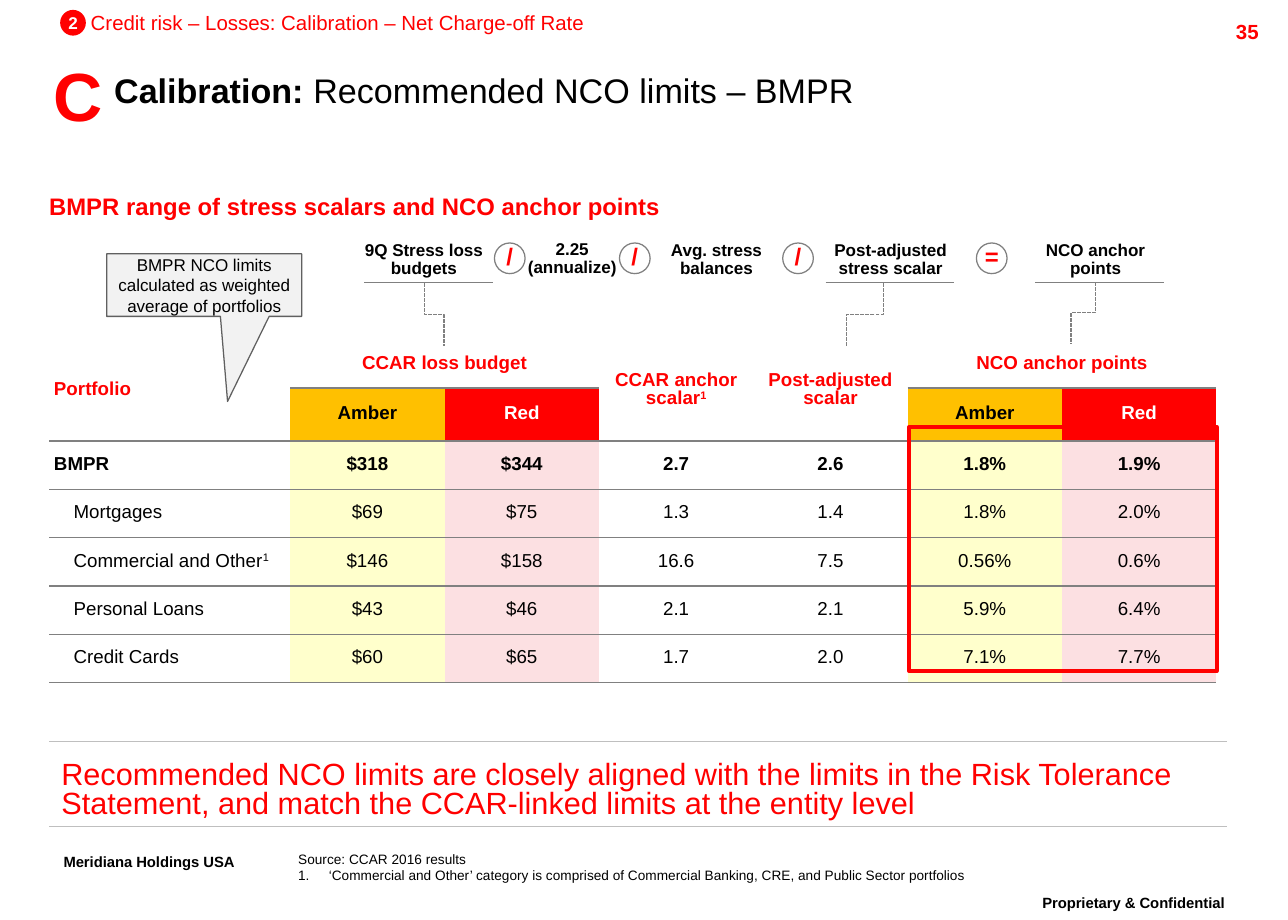
from dataclasses import dataclass
from typing import NamedTuple, Optional, Sequence

from lxml import etree
from pptx import Presentation
from pptx.dml.color import RGBColor
from pptx.enum import dml, shapes, text
from pptx.oxml import ns
from pptx.util import Pt

LEFT, CENTER, RIGHT = text.PP_ALIGN.LEFT, text.PP_ALIGN.CENTER, text.PP_ALIGN.RIGHT
MIDDLE, BOTTOM = text.MSO_ANCHOR.MIDDLE, text.MSO_ANCHOR.BOTTOM


@dataclass(frozen=True)
class Theme:
    font: str = "Arial"
    red: str = "FF0000"
    black: str = "000000"
    white: str = "FFFFFF"
    grey: str = "808080"
    light_grey: str = "BFBFBF"
    amber: str = "FFC000"
    pale_amber: str = "FFFFCC"
    pale_red: str = "FCE0E2"
    callout_fill: str = "F2F2F2"
    callout_line: str = "606060"
    note: float = 8
    label: float = 10
    body: float = 11
    small_heading: float = 12
    heading: float = 14
    footer: float = 15
    banner: float = 18
    title: float = 20
    letter: float = 40


THEME = Theme()


class Box(NamedTuple):
    left: float
    top: float
    width: float
    height: float


class Run(NamedTuple):
    text: str
    bold: bool = False
    raised: bool = False


@dataclass(frozen=True)
class Style:
    size: float
    color: str = THEME.black
    align: text.PP_ALIGN = LEFT
    spacing: Optional[float] = 0.86
    anchor: text.MSO_ANCHOR = text.MSO_ANCHOR.TOP
    margins: Sequence[float] = (7.2, 3.6, 7.2, 3.6)
    wrap: bool = True


@dataclass(frozen=True)
class Label:
    box: Box
    lines: Sequence[Sequence[Run]]
    style: Style


@dataclass(frozen=True)
class Term:
    box: Box
    lines: Sequence[str]
    underline: Optional[float] = None
    link: Optional[Box] = None


@dataclass(frozen=True)
class Operator:
    left: float
    symbol: str


NONE = (0, 0, 0, 0)
PAD = (2.9, 2.2, 2.9, 2.2)
INDENT = (14.4, 0, 0, 0)
UNDERLINE_TOP, UNDERLINE_WIDTH = 165.6, 75.6
FOOTER = Style(THEME.footer, align=CENTER, wrap=False)
TERM = Style(THEME.label, align=CENTER)
SYMBOL = Style(THEME.heading, THEME.red, CENTER, anchor=MIDDLE, margins=NONE, wrap=False)

LABELS = [
    Label(Box(586.8, 522, 157, 25.2), [[Run("Proprietary & Confidential", True, True)]], FOOTER),
    Label(Box(18.7, 497.5, 137.5, 25.2), [[Run("Meridiana Holdings USA", True, True)]], FOOTER),
    Label(Box(673.9, 7.9, 72, 17.3), [[Run("35", True)]],
          Style(THEME.small_heading, THEME.red, RIGHT, None)),
    Label(Box(28.8, 115.2, 444, 14.4), [[Run("BMPR range of stress scalars and NCO anchor points", True)]],
          Style(THEME.heading, THEME.red, margins=NONE)),
    Label(Box(23.8, 28.1, 43.9, 55.4), [[Run("C", True)]],
          Style(THEME.letter, THEME.red, CENTER, None, wrap=False)),
    Label(Box(53.3, 5.8, 330, 14.4), [[Run("Credit risk – Losses: Calibration – Net Charge-off Rate")]],
          Style(THEME.small_heading, THEME.red, spacing=None, margins=NONE)),
]
TERMS = [
    Term(Box(197.3, 139, 103, 28), ["9Q Stress loss budgets"], 213.8, Box(249.1, 166.3, 11.5, 36.7)),
    Term(Box(300.2, 138.2, 71.3, 28), ["2.25", "(annualize)"]),
    Term(Box(374.4, 139, 92.2, 28), ["Avg. stress balances"]),
    Term(Box(476.6, 139, 92.2, 28), ["Post-adjusted stress scalar"], 484.6, Box(518.4, 166.3, -21.6, 36.7)),
    Term(Box(596.9, 139, 92.2, 28), ["NCO anchor points"], 607.7, Box(643, 165.6, -14.4, 36)),
]
OPERATORS = [Operator(290.2, "/"), Operator(363.6, "/"), Operator(459.4, "/"), Operator(573.1, "=")]
PORTFOLIOS = [
    ["BMPR", "$318", "$344", "2.7", "2.6", "1.8%", "1.9%"],
    ["Mortgages", "$69", "$75", "1.3", "1.4", "1.8%", "2.0%"],
    ["Commercial and Other", "$146", "$158", "16.6", "7.5", "0.56%", "0.6%"],
    ["Personal Loans", "$43", "$46", "2.1", "2.1", "5.9%", "6.4%"],
    ["Credit Cards", "$60", "$65", "1.7", "2.0", "7.1%", "7.7%"],
]
GROUP_HEADINGS = {0: "Portfolio", 1: "CCAR loss budget", 3: "CCAR anchor scalar",
                  4: "Post-adjusted scalar", 5: "NCO anchor points"}
NOTED = ("CCAR anchor scalar", "Commercial and Other")
LIMITS = {1: ("Amber", THEME.amber, THEME.black), 2: ("Red", THEME.red, THEME.white),
          5: ("Amber", THEME.amber, THEME.black), 6: ("Red", THEME.red, THEME.white)}
COLUMN_FILLS = [THEME.white, THEME.pale_amber, THEME.pale_red, THEME.white, THEME.white,
                THEME.pale_amber, THEME.pale_red]


def points(values: Sequence[float]) -> list:
    return [Pt(value) for value in values]


def write(frame, lines: Sequence[Sequence[Run]], style: Style) -> None:
    frame.word_wrap = style.wrap
    frame.vertical_anchor = style.anchor
    frame.margin_left, frame.margin_top, frame.margin_right, frame.margin_bottom = points(style.margins)
    for index, line in enumerate(lines):
        paragraph = frame.paragraphs[0] if index == 0 else frame.add_paragraph()
        paragraph.alignment = style.align
        paragraph.space_before = Pt(0)
        if style.spacing:
            paragraph.line_spacing = style.spacing
        for part in line:
            run = paragraph.add_run()
            run.text = part.text
            run.font.name, run.font.size, run.font.bold = THEME.font, Pt(style.size), part.bold
            run.font.color.rgb = RGBColor.from_string(style.color)
            if part.raised:
                run.font._element.set("baseline", "30000")


def add_label(slide, label: Label):
    shape = slide.shapes.add_textbox(*points(label.box))
    write(shape.text_frame, label.lines, label.style)
    return shape


def add_figure(slide, kind, box: Box, fill: Optional[str], line: Optional[str], weight: float = 0.75):
    shape = slide.shapes.add_shape(kind, *points(box))
    shape.shadow.inherit = False
    for format_, color in ((shape.fill, fill), (shape.line.fill, line)):
        if color:
            format_.solid()
            format_.fore_color.rgb = RGBColor.from_string(color)
        else:
            format_.background()
    if line:
        shape.line.width = Pt(weight)
    return shape


def add_line(slide, kind, start: Sequence[float], end: Sequence[float]):
    connector = slide.shapes.add_connector(kind, *points([*start, *end]))
    connector.line.color.rgb = RGBColor.from_string(THEME.grey)
    connector.line.width = Pt(0.75)
    etree.SubElement(connector._element.spPr, ns.qn("a:effectLst"))
    return connector


def add_link(slide, link: Box) -> None:
    middle_x, middle_y = link.left + link.width / 2, link.top + link.height / 2
    to_right = link.width > 0
    reach = link.height / 2 * (1 if to_right else -1)
    rise = abs(link.width) / 2
    connector = add_line(slide, shapes.MSO_CONNECTOR.ELBOW,
                         (middle_x + reach, middle_y - rise), (middle_x - reach, middle_y + rise))
    connector._element.spPr.xfrm.set("rot", "16200000" if to_right else "5400000")
    connector.line.dash_style = dml.MSO_LINE.SQUARE_DOT


def add_border(cell, side: str, color: str, weight: float) -> None:
    border = etree.Element(ns.qn(f"a:{side}"), w=str(Pt(weight)))
    fill = etree.SubElement(border, ns.qn("a:solidFill"))
    etree.SubElement(fill, ns.qn("a:srgbClr"), val=color)
    cell._tc.get_or_add_tcPr().insert(0, border)


def add_grid(slide, box: Box, widths: Sequence[float], heights: Sequence[float]):
    table = slide.shapes.add_table(len(heights), len(widths), *points(box)).table
    table.first_row = table.horz_banding = False
    table._tbl.tblPr.find(ns.qn("a:tableStyleId")).text = "{2D5ABB26-0587-4C30-8999-92F81FD0307C}"
    for column, width in zip(table.columns, widths):
        column.width = Pt(width)
    for row, height in zip(table.rows, heights):
        row.height = Pt(height)
    return table


def fill_cell(cell, content: str, fill: str, style: Style, bold: bool) -> None:
    runs = [Run(content, bold)] + ([Run("1", bold, True)] if content in NOTED else [])
    write(cell.text_frame, [runs], style)
    cell.vertical_anchor = style.anchor
    cell.margin_left, cell.margin_top, cell.margin_right, cell.margin_bottom = points(style.margins)
    cell.fill.solid()
    cell.fill.fore_color.rgb = RGBColor.from_string(fill)


def add_portfolio_table(slide) -> None:
    table = add_grid(slide, Box(28.8, 199.4, 685.2, 201.5), [141.6] + [90.6] * 6, [28.4, 31.1] + [28.4] * 5)
    for column, heading in GROUP_HEADINGS.items():
        end = (0, column + 1) if column in LIMITS else (1, column)
        table.cell(0, column).merge(table.cell(*end))
        style = Style(THEME.body, THEME.red, CENTER if column else LEFT, anchor=MIDDLE, margins=PAD)
        fill_cell(table.cell(0, column), heading, THEME.white, style, True)
    for column, (name, fill, color) in LIMITS.items():
        style = Style(THEME.body, color, CENTER, anchor=MIDDLE, margins=PAD)
        fill_cell(table.cell(1, column), name, fill, style, True)
    for row, values in enumerate(PORTFOLIOS):
        for column, value in enumerate(values):
            margins = NONE if column else INDENT if row else PAD
            style = Style(THEME.body, align=CENTER if column else LEFT, anchor=MIDDLE, margins=margins)
            fill_cell(table.cell(row + 2, column), value, COLUMN_FILLS[column], style, row == 0)
    for cell in table.iter_cells():
        add_border(cell, "lnB", THEME.grey, 1)


def add_banner(slide) -> None:
    cell = add_grid(slide, Box(28.8, 435.4, 691.2, 50), [691.2], [50]).cell(0, 0)
    message = ("Recommended NCO limits are closely aligned with the limits in the Risk Tolerance "
               "Statement, and match the CCAR-linked limits at the entity level")
    fill_cell(cell, message, THEME.white, Style(THEME.banner, THEME.red, anchor=BOTTOM), False)
    for side in ("lnB", "lnT"):
        add_border(cell, side, THEME.light_grey, 0.75)


def add_source_note(slide) -> None:
    lines = [[Run("Source: CCAR 2016 results")],
             [Run("‘Commercial and Other’ category is comprised of Commercial Banking, CRE, "
                  "and Public Sector portfolios")]]
    style = Style(THEME.note, spacing=None, anchor=BOTTOM, margins=NONE)
    note = add_label(slide, Label(Box(175, 499, 454.3, 19.4), lines, style))
    properties = note.text_frame.paragraphs[1]._p.get_or_add_pPr()
    properties.set("marL", str(Pt(18)))
    properties.set("indent", str(Pt(-18)))
    etree.SubElement(properties, ns.qn("a:buAutoNum"), type="arabicPeriod")


def add_title(slide) -> None:
    title = slide.shapes.title
    title.left, title.top, title.width, title.height = points(Box(67, 35.3, 643, 34.6))
    write(title.text_frame, [[Run("Calibration: ", True), Run("Recommended NCO limits – BMPR")]],
          Style(THEME.title, spacing=None, anchor=MIDDLE, margins=NONE))


def add_formula(slide) -> None:
    for term in TERMS:
        add_label(slide, Label(term.box, [[Run(line, True)] for line in term.lines], TERM))
        if term.underline:
            add_line(slide, shapes.MSO_CONNECTOR.STRAIGHT, (term.underline, UNDERLINE_TOP),
                     (term.underline + UNDERLINE_WIDTH, UNDERLINE_TOP))
        if term.link:
            add_link(slide, term.link)
    for operator in OPERATORS:
        circle = add_figure(slide, shapes.MSO_SHAPE.OVAL, Box(operator.left, 142.6, 18, 18),
                            THEME.white, THEME.grey)
        write(circle.text_frame, [[Run(operator.symbol, True)]], SYMBOL)


def main() -> None:
    presentation = Presentation()
    presentation.slide_width, presentation.slide_height = Pt(756), Pt(540)
    slide = presentation.slides.add_slide(presentation.slide_layouts[5])
    add_title(slide)
    for label in LABELS:
        add_label(slide, label)
    add_portfolio_table(slide)
    add_source_note(slide)
    add_banner(slide)
    add_figure(slide, shapes.MSO_SHAPE.RECTANGLE, Box(533.5, 250.6, 180.7, 143.3), None, THEME.red, 2.25)
    callout = add_figure(slide, shapes.MSO_SHAPE.RECTANGULAR_CALLOUT, Box(62.6, 149, 114.5, 36.7),
                         THEME.callout_fill, THEME.callout_line)
    callout.adjustments[0], callout.adjustments[1] = 0.12, 1.86
    write(callout.text_frame, [[Run("BMPR NCO limits calculated as weighted average of portfolios")]],
          Style(THEME.label, align=CENTER, spacing=None, anchor=MIDDLE, margins=(5.8,) * 4))
    add_formula(slide)
    badge = add_figure(slide, shapes.MSO_SHAPE.OVAL, Box(35.3, 5.8, 15.1, 15.1), THEME.red, None)
    write(badge.text_frame, [[Run("2", True)]],
          Style(THEME.label, THEME.white, CENTER, None, MIDDLE, NONE, False))
    presentation.save("out.pptx")


if __name__ == "__main__":
    main()
